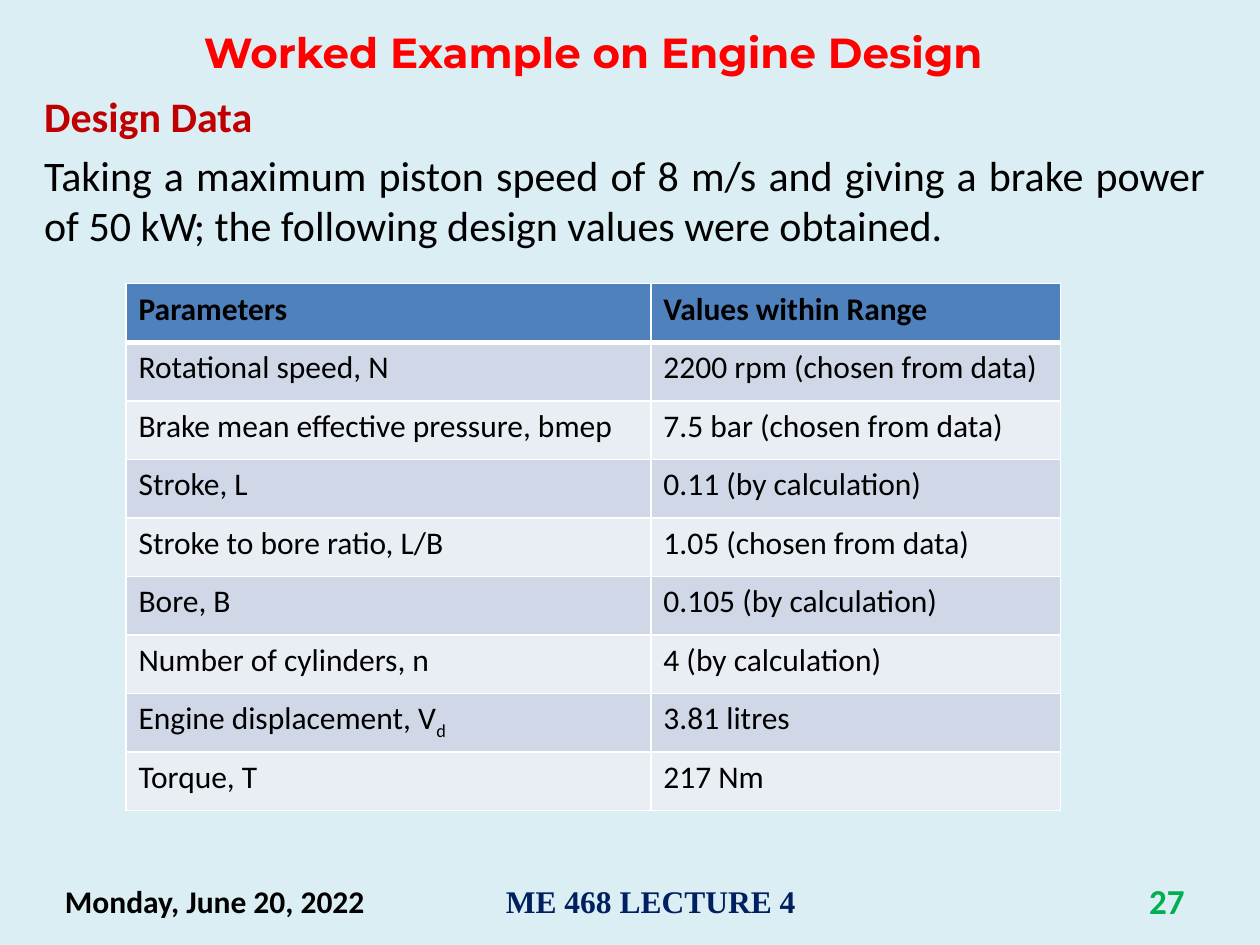
"""Build the engine design worked example slide with its table of design values."""
from lxml.etree import SubElement
from pptx import Presentation
from pptx.dml.color import RGBColor
from pptx.enum.text import MSO_ANCHOR, PP_ALIGN
from pptx.oxml.ns import qn
from pptx.util import Cm, Pt

COLORS = {
    "background": "DBEEF4",
    "title": "FF0000",
    "heading": "C00000",
    "text": "000000",
    "lecture": "002060",
    "number": "00B050",
    "header": "4F81BD",
    "odd": "D0D8E8",
    "even": "E9EDF4",
    "border": "FFFFFF",
}


def style_paragraph(paragraph, size, color, bold, name="Calibri", align=PP_ALIGN.LEFT):
    paragraph.alignment = align
    paragraph.font.size = Pt(size)
    paragraph.font.bold = bold
    paragraph.font.name = name
    paragraph.font.color.rgb = RGBColor.from_string(COLORS[color])


def add_border(cell, side, width):
    line = SubElement(cell._tc.get_or_add_tcPr(), qn(f"a:{side}"), w=str(Pt(width)))
    fill = SubElement(line, qn("a:solidFill"))
    SubElement(fill, qn("a:srgbClr"), val=COLORS["border"])


presentation = Presentation()
presentation.slide_width = Cm(25.4)
presentation.slide_height = Cm(19.05)
slide = presentation.slides.add_slide(presentation.slide_layouts[6])
slide.background.fill.solid()
slide.background.fill.fore_color.rgb = RGBColor.from_string(COLORS["background"])

labels = [
    ("Worked Example on Engine Design", 0.43, 0.2, 23.06, 1.7,
     24, "title", "Montserrat", PP_ALIGN.CENTER),
    ("ME 468 LECTURE 4", 9.95, 17.65, 9.74, 1.02,
     18, "lecture", "Times New Roman", PP_ALIGN.LEFT),
    ("27", 18.2, 17.65, 5.93, 1.02, 20, "number", "Calibri", PP_ALIGN.RIGHT),
    ("Monday, June 20, 2022", 1.06, 17.65, 8.89, 1.02,
     18, "text", "Calibri", PP_ALIGN.LEFT),
]
for text, left, top, width, height, size, color, name, align in labels:
    label = slide.shapes.add_textbox(Cm(left), Cm(top), Cm(width), Cm(height))
    frame = label.text_frame
    frame.word_wrap = True
    frame.vertical_anchor = MSO_ANCHOR.MIDDLE
    frame.text = text
    style_paragraph(frame.paragraphs[0], size, color, True, name, align)

body = slide.shapes.add_textbox(Cm(0.64), Cm(1.7), Cm(23.92), Cm(16.08)).text_frame
body.word_wrap = True
heading = body.paragraphs[0]
heading.text = "Design Data"
style_paragraph(heading, 24, "heading", True, align=PP_ALIGN.JUSTIFY)
introduction = body.add_paragraph()
introduction.text = (
    "Taking a maximum piston speed of 8 m/s and giving a brake power of 50 kW; "
    "the following design values were obtained."
)
introduction.space_before = Pt(4.8)
style_paragraph(introduction, 24, "text", False, align=PP_ALIGN.JUSTIFY)

design_values = [
    ("Parameters", "Values within Range"),
    ("Rotational speed, N", "2200 rpm (chosen from data)"),
    ("Brake mean effective pressure, bmep", "7.5 bar (chosen from data)"),
    ("Stroke, L", "0.11 (by calculation)"),
    ("Stroke to bore ratio, L/B", "1.05 (chosen from data)"),
    ("Bore, B", "0.105 (by calculation)"),
    ("Number of cylinders, n", "4 (by calculation)"),
    ("Engine displacement, V", "3.81 litres"),
    ("Torque, T", "217 Nm"),
]
row_height = 1.18
table = slide.shapes.add_table(
    len(design_values), 2, Cm(2.54), Cm(5.72), Cm(18.84), Cm(row_height * len(design_values))
).table
for column, width in zip(table.columns, (10.58, 8.26)):
    column.width = Cm(width)

for row_index, row in enumerate(design_values):
    table.rows[row_index].height = Cm(row_height)
    is_header = row_index == 0
    fill_color = "header" if is_header else ("even", "odd")[row_index % 2]
    for column_index, text in enumerate(row):
        cell = table.cell(row_index, column_index)
        cell.text = text
        style_paragraph(cell.text_frame.paragraphs[0], 18, "text", is_header)
        add_border(cell, "lnL", 1)
        add_border(cell, "lnR", 1)
        add_border(cell, "lnT", 3 if row_index == 1 else 1)
        add_border(cell, "lnB", 3 if is_header else 1)
        cell.fill.solid()
        cell.fill.fore_color.rgb = RGBColor.from_string(COLORS[fill_color])

subscript = table.cell(7, 0).text_frame.paragraphs[0].add_run()
subscript.text = "d"
subscript._r.get_or_add_rPr().set("baseline", "-25000")

presentation.save("out.pptx")
